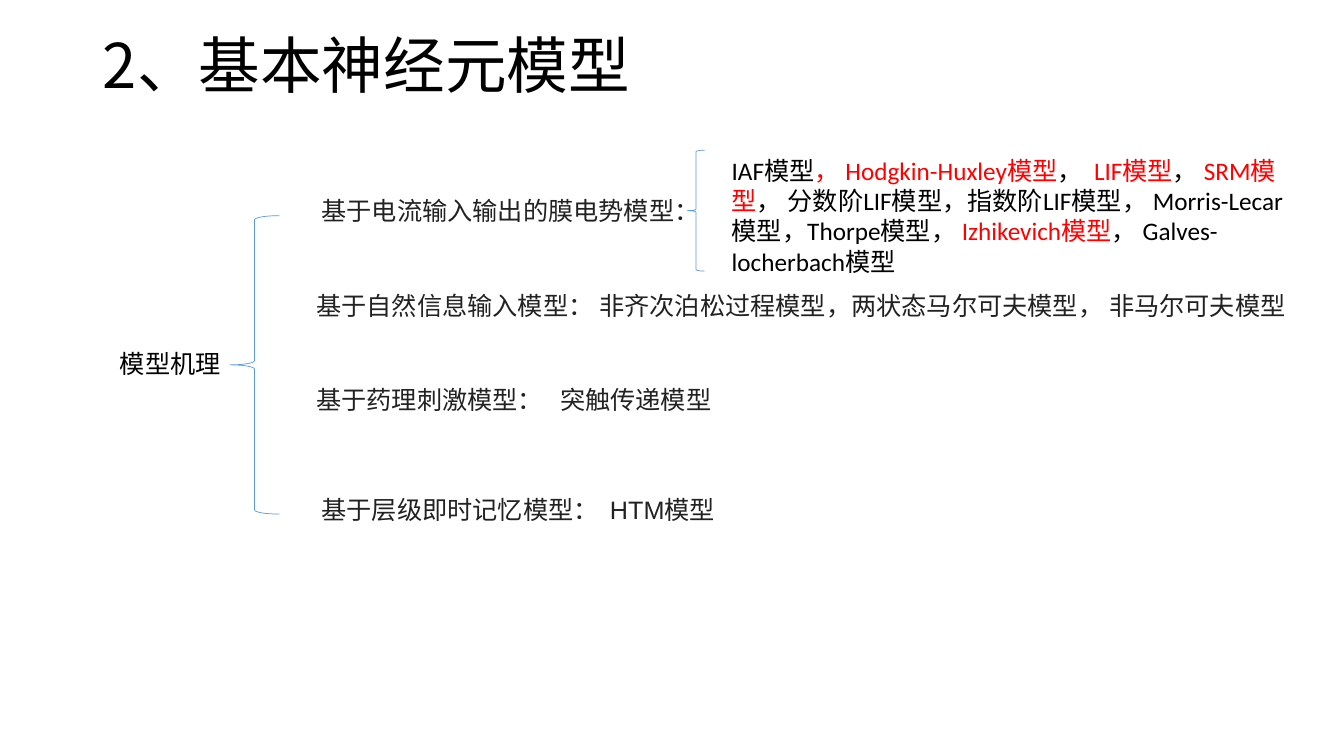
from dataclasses import dataclass
from itertools import cycle

from lxml.etree import SubElement
from pptx import Presentation
from pptx.dml.color import RGBColor
from pptx.enum.lang import MSO_LANGUAGE_ID as Language
from pptx.enum.shapes import MSO_SHAPE as Shape
from pptx.enum.text import MSO_ANCHOR as Anchor, MSO_AUTO_SIZE as AutoSize, PP_ALIGN as Align
from pptx.oxml.ns import qn
from pptx.util import Inches, Pt

BLACK = RGBColor(0x00, 0x00, 0x00)
RED = RGBColor(0xFF, 0x00, 0x00)
CHARCOAL = RGBColor(0x22, 0x22, 0x22)
BLUE = RGBColor(0x5B, 0x9B, 0xD5)
CHINESE_FONT = "Noto Sans CJK SC"
SLIDE_WIDTH, SLIDE_HEIGHT = Inches(13.33), Inches(7.5)


@dataclass(frozen=True)
class Box:
    """Percent shares of the slide's width and height."""
    left: float
    top: float
    width: float
    height: float


@dataclass(frozen=True)
class Label:
    box: Box
    segments: tuple[str, ...]
    font: str = "Arial"
    colors: tuple[RGBColor, ...] = (CHARCOAL,)
    size: int = 18
    wrap: bool = True
    anchor: Anchor = Anchor.TOP
    spacing: float = 1.0


TITLE = Label(Box(6.9, 4, 86.25, 19.33), ("2、基本神经元模型",),
              CHINESE_FONT, (BLACK,), size=44, spacing=0.9)

LABELS = (
    Label(Box(8.18, 21.07, 80, 29.6), ("模型机理",),
          "Calibri", (BLACK,), anchor=Anchor.BOTTOM),
    Label(Box(23.18, 25.2, 29.92, 5.33), ("基于电流输入输出的膜电势模型：",), wrap=False),
    Label(Box(22.8, 37.73, 74.63, 5.33),
          ("基于自然信息输入模型： 非齐次泊松过程模型，两状态马尔可夫模型， 非马尔可夫模型",),
          wrap=False),
    Label(Box(22.8, 50.13, 31.65, 5.33), ("基于药理刺激模型：   突触传递模型",), wrap=False),
    Label(Box(23.18, 64.67, 31.28, 5.33), ("基于层级即时记忆模型：  HTM模型",)),
    Label(Box(53.7, 19.87, 43.35, 17.47),
          ("IAF模型", "， Hodgkin-Huxley模型", "，  ", "LIF模型", "， ", "SRM模型",
           "， 分数阶LIF模型，指数阶LIF模型， Morris-Lecar模型，Thorpe模型， ",
           "Izhikevich模型", "， Galves-locherbach模型"),
          "Calibri", (BLACK, RED)),
)

BRACES = (Box(17.1, 28.53, 3.68, 39.47), Box(51.15, 19.87, 1.28, 16))


def apply_format(target, values: dict) -> None:
    for name, value in values.items():
        setattr(target, name, value)


def frame(box: Box) -> dict[str, int]:
    return {
        "left": round(SLIDE_WIDTH * box.left / 100),
        "top": round(SLIDE_HEIGHT * box.top / 100),
        "width": round(SLIDE_WIDTH * box.width / 100),
        "height": round(SLIDE_HEIGHT * box.height / 100),
    }


def write_label(shape, label: Label) -> None:
    apply_format(shape, frame(label.box))
    apply_format(shape.text_frame, {
        "word_wrap": label.wrap,
        "auto_size": AutoSize.NONE,
        "vertical_anchor": label.anchor,
    })
    paragraph = shape.text_frame.paragraphs[0]
    apply_format(paragraph, {"alignment": Align.LEFT, "line_spacing": label.spacing})
    for text, color in zip(label.segments, cycle(label.colors)):
        run = paragraph.add_run()
        run.text = text
        run.font.color.rgb = color
        apply_format(run.font, {
            "name": label.font,
            "size": Pt(label.size),
            "language_id": Language.SIMPLIFIED_CHINESE,
        })
        SubElement(run.font._element, qn("a:ea"), typeface=CHINESE_FONT)


def draw_brace(slide, box: Box) -> None:
    shape = slide.shapes.add_shape(Shape.LEFT_BRACE, **frame(box))
    shape.shadow.inherit = False
    shape.fill.background()
    shape.line.color.rgb = BLUE
    shape.line.width = Pt(0.5)


def main() -> None:
    presentation = Presentation()
    apply_format(presentation, {"slide_width": SLIDE_WIDTH, "slide_height": SLIDE_HEIGHT})
    slide = presentation.slides.add_slide(presentation.slide_layouts.get_by_name("Title Only"))
    write_label(slide.shapes.title, TITLE)
    for label in LABELS:
        write_label(slide.shapes.add_textbox(**frame(label.box)), label)
    for box in BRACES:
        draw_brace(slide, box)
    presentation.save("out.pptx")


if __name__ == "__main__":
    main()
